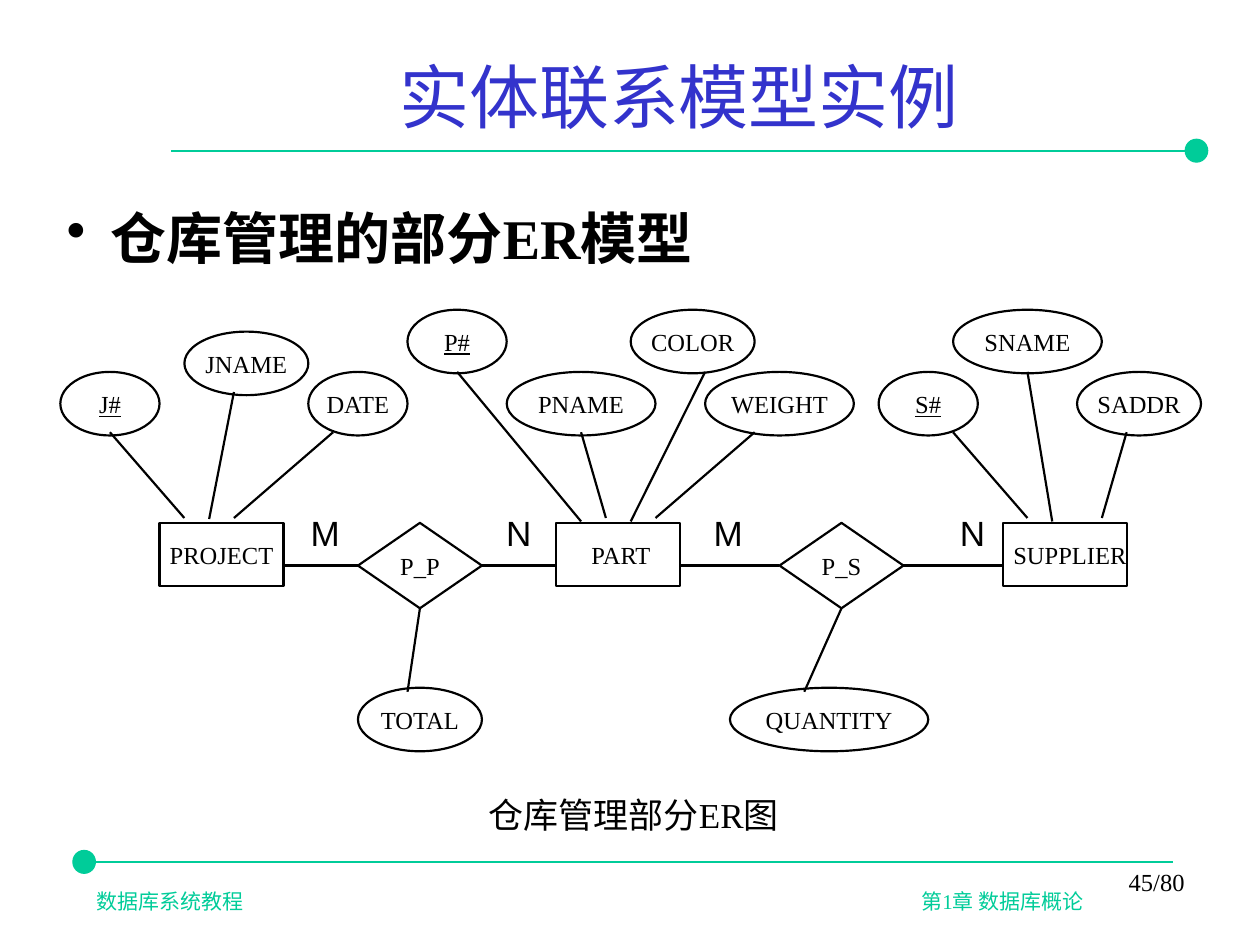
"""Build a slide that shows the ER model of a warehouse."""
from dataclasses import dataclass

from lxml.etree import SubElement
from pptx import Presentation
from pptx.dml.color import RGBColor
from pptx.enum.shapes import MSO_CONNECTOR, MSO_SHAPE
from pptx.enum.text import MSO_ANCHOR, PP_ALIGN
from pptx.oxml.ns import qn
from pptx.util import Pt


@dataclass(frozen=True)
class Theme:
    ink: str = "000000"
    paper: str = "FFFFFF"
    title: str = "3333CC"
    accent: str = "00CC99"
    serif: str = "Times New Roman"
    sans: str = "Arial"
    head_size: float = 40
    lead_size: float = 32
    mark_size: float = 20
    node_size: float = 14
    foot_size: float = 12
    stroke: float = 1.25


@dataclass(frozen=True)
class Node:
    text: str
    col: float
    span: float
    top: float
    key: bool = False
    shift: float = 0


@dataclass(frozen=True)
class Link:
    start: tuple[float, float]
    end: tuple[float, float]


@dataclass(frozen=True)
class Bond:
    node: Node
    left: float
    right: float
    leaf: Link


THEME = Theme()
LEFT, UNIT = 34.5, 14.17
HIGH, MID, LOW, BASE = 177, 189.5, 212.5, 393
ROW, TALL, DEEP = 298.8, 36.3, 48.8
AXIS = ROW + DEEP / 2

TRAITS = [
    Node("J#", 0, 4, LOW, key=True),
    Node("JNAME", 5, 5, MID),
    Node("DATE", 10, 4, LOW),
    Node("P#", 14, 4, HIGH, key=True),
    Node("PNAME", 18, 6, LOW),
    Node("COLOR", 23, 5, HIGH),
    Node("WEIGHT", 26, 6, LOW),
    Node("S#", 33, 4, LOW, key=True),
    Node("SNAME", 36, 6, HIGH),
    Node("SADDR", 41, 5, LOW),
    Node("TOTAL", 12, 5, BASE),
    Node("QUANTITY", 27, 8, BASE),
]
ENTITIES = [
    Node("PROJECT", 4, 5, ROW),
    Node("PART", 20, 5, ROW, shift=3),
    Node("SUPPLIER", 38, 5, ROW, shift=6),
]
BONDS = [
    Bond(Node("P_P", 12, 5, ROW), 9, 20, Link((14.5, ROW + DEEP), (14, 395.3))),
    Bond(Node("P_S", 29, 5, ROW), 25, 38, Link((31.5, ROW + DEEP), (30, 395.3))),
]
LINKS = [
    Link((2, 247), (5, 296)),
    Link((7, 224), (6, 296.6)),
    Link((11, 247), (7, 296)),
    Link((16, 212.5), (21, 298)),
    Link((21, 247), (22, 296)),
    Link((26, 212.5), (23, 298)),
    Link((28, 247), (24, 296)),
    Link((36, 247), (39, 296)),
    Link((39, 212.5), (40, 298)),
    Link((43, 247), (42, 296)),
]
MARKS = [("M", 167), ("N", 278.8), ("M", 397.4), ("N", 538)]


def tint(code: str) -> RGBColor:
    return RGBColor.from_string(code)


def column(col: float) -> float:
    return LEFT + UNIT * col


def write(shape, text: str, *, size: float, color: str = THEME.ink, font: str = THEME.serif,
          bold: bool = False, under: bool = False, wrap: bool = True,
          align=PP_ALIGN.LEFT, anchor=MSO_ANCHOR.TOP, inset=(7.2, 3.6, 7.2, 3.6)):
    frame = shape.text_frame
    frame.word_wrap = wrap
    frame.vertical_anchor = anchor
    frame.margin_left, frame.margin_top, frame.margin_right, frame.margin_bottom = map(Pt, inset)
    para = frame.paragraphs[0]
    para.alignment = align
    run = para.add_run()
    run.text = text
    run.font.size, run.font.name = Pt(size), font
    run.font.bold, run.font.underline = bold, under
    run.font.color.rgb = tint(color)
    return para


def label(slide, text: str, box: tuple, **look):
    return write(slide.shapes.add_textbox(*map(Pt, box)), text, **look)


def solid(slide, kind, box: tuple, fill: str, edge: str | None = None,
          width: float = THEME.stroke):
    shape = slide.shapes.add_shape(kind, *map(Pt, box))
    shape.shadow.inherit = False
    shape.fill.solid()
    shape.fill.fore_color.rgb = tint(fill)
    if edge:
        shape.line.color.rgb = tint(edge)
        shape.line.width = Pt(width)
    else:
        shape.line.fill.background()
    return shape


def line(slide, start: tuple, end: tuple, color: str = THEME.ink):
    wire = slide.shapes.add_connector(MSO_CONNECTOR.STRAIGHT, *map(Pt, (*start, *end)))
    wire.line.color.rgb = tint(color)
    wire.line.width = Pt(THEME.stroke)
    SubElement(wire._element.spPr, qn("a:effectLst"))
    return wire


def draw_node(slide, node: Node, kind, height: float = TALL):
    box = (column(node.col), node.top, UNIT * node.span, height)
    shape = solid(slide, kind, box, THEME.paper, THEME.ink)
    write(shape, node.text, size=THEME.node_size, under=node.key, wrap=False,
          align=PP_ALIGN.CENTER, anchor=MSO_ANCHOR.MIDDLE, inset=(node.shift, 0, 0, 0))
    return shape


def draw_link(slide, link: Link):
    (x1, y1), (x2, y2) = link.start, link.end
    return line(slide, (column(x1), y1), (column(x2), y2))


def draw_bond(slide, bond: Bond) -> None:
    node = bond.node
    shape = draw_node(slide, node, MSO_SHAPE.DIAMOND, DEEP)
    draw_link(slide, Link((bond.left, AXIS), (node.col, AXIS))).end_connect(shape, 1)
    draw_link(slide, Link((node.col + node.span, AXIS), (bond.right, AXIS))).begin_connect(shape, 3)
    draw_link(slide, bond.leaf).begin_connect(shape, 2)


def draw_rule(slide, start: tuple, end: tuple, dot: tuple) -> None:
    line(slide, start, end, THEME.accent)
    solid(slide, MSO_SHAPE.OVAL, (*dot, 12.8, 13), THEME.accent, THEME.accent, 0.75)


def draw_frame(slide) -> None:
    draw_rule(slide, (98, 86.2), (684, 86.2), (677.3, 79.6))
    draw_rule(slide, (48.2, 492.5), (670.3, 492.5), (41.7, 486))
    label(slide, "实体联系模型实例", (98, 18, 580, 73.4), size=THEME.head_size,
          color=THEME.title, align=PP_ALIGN.CENTER, anchor=MSO_ANCHOR.MIDDLE)
    lead = label(slide, "仓库管理的部分ER模型", (31, 113, 658, 50),
                 size=THEME.lead_size, bold=True)
    props = lead._p.get_or_add_pPr()
    props.set("marL", str(Pt(25)))
    props.set("indent", str(-Pt(25)))
    SubElement(props, qn("a:buChar"), char="•")
    foot = label(slide, "数据库系统教程\t第1章 数据库概论", (48.2, 504, 618, 21.6),
                 size=THEME.foot_size, color=THEME.accent)
    tabs = SubElement(foot._p.get_or_add_pPr(), qn("a:tabLst"))
    SubElement(tabs, qn("a:tab"), pos=str(Pt(564)), algn="r")
    label(slide, "仓库管理部分ER图", (235.4, 450, 253.4, 31.7),
          size=THEME.mark_size, align=PP_ALIGN.CENTER)
    label(slide, "45/80", (516, 491.8, 168, 36), size=THEME.node_size, align=PP_ALIGN.RIGHT)


def draw_model(slide) -> None:
    for node in TRAITS:
        draw_node(slide, node, MSO_SHAPE.OVAL)
    for node in ENTITIES:
        draw_node(slide, node, MSO_SHAPE.RECTANGLE)
    for bond in BONDS:
        draw_bond(slide, bond)
    for link in LINKS:
        draw_link(slide, link)
    for text, left in MARKS:
        shape = solid(slide, MSO_SHAPE.RECTANGLE, (left, 287.3, 31, 31), THEME.paper)
        write(shape, text, size=THEME.mark_size, font=THEME.sans, wrap=False,
              inset=(10.5, 5, 0, 0))


def main() -> None:
    deck = Presentation()
    deck.slide_width, deck.slide_height = Pt(720), Pt(540)
    slide = deck.slides.add_slide(deck.slide_layouts[6])
    draw_frame(slide)
    draw_model(slide)
    deck.save("out.pptx")


if __name__ == "__main__":
    main()
